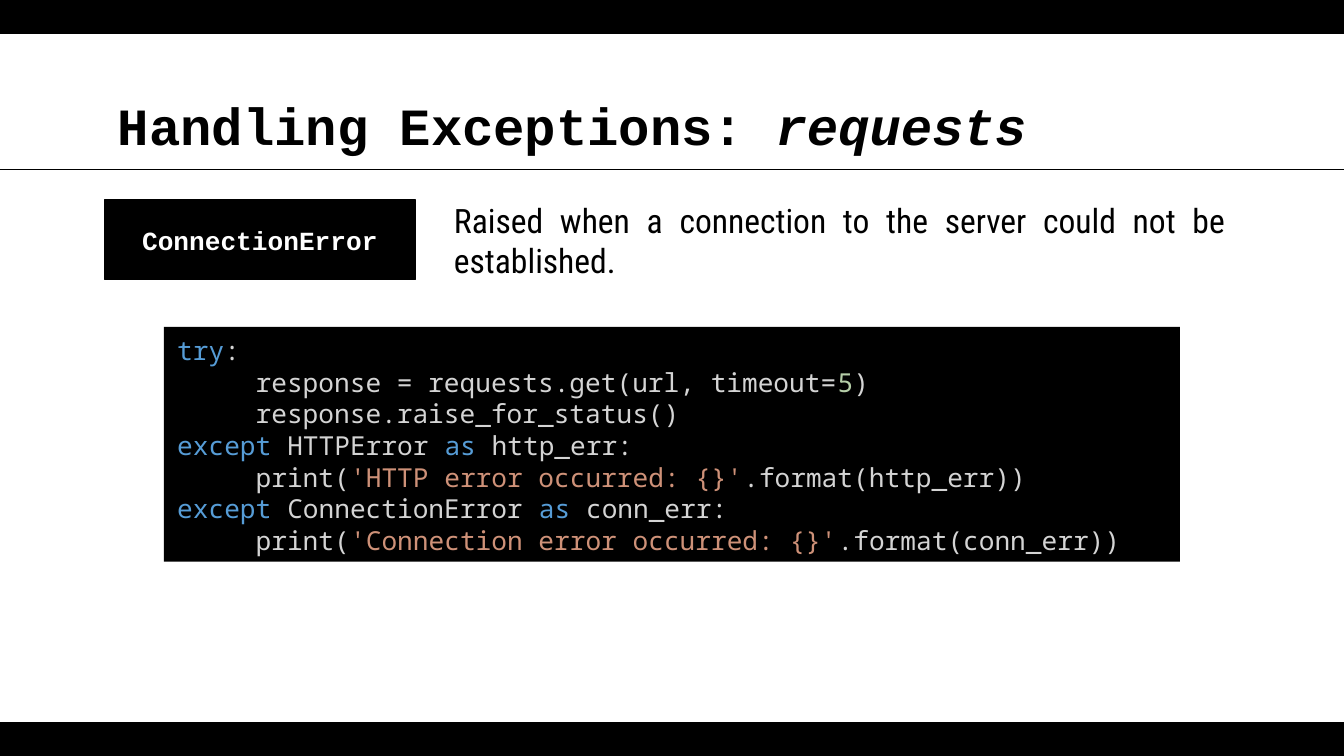
from dataclasses import dataclass

from pptx import Presentation
from pptx.dml.color import RGBColor
from pptx.enum.shapes import MSO_CONNECTOR, MSO_SHAPE
from pptx.enum.text import MSO_ANCHOR, PP_ALIGN
from pptx.oxml.ns import qn
from pptx.util import Cm, Pt

RECTANGLE = MSO_SHAPE.RECTANGLE
STRAIGHT = MSO_CONNECTOR.STRAIGHT
TOP, MIDDLE, BOTTOM = MSO_ANCHOR.TOP, MSO_ANCHOR.MIDDLE, MSO_ANCHOR.BOTTOM
LEFT, CENTER, JUSTIFY = PP_ALIGN.LEFT, PP_ALIGN.CENTER, PP_ALIGN.JUSTIFY

COLORS = {
    "black": "000000",
    "white": "FFFFFF",
    "keyword": "569CD6",
    "plain": "D4D4D4",
    "number": "B5CEA8",
    "string": "CE9178",
}
WIDTH, HEIGHT, BAR_HEIGHT = 25.4, 14.29, 0.64
MARGIN = 1.98
RULE_Y = 3.2


@dataclass
class Box:
    left: float
    top: float
    width: float
    height: float


@dataclass
class Style:
    font: str
    size: float
    color: str = "black"
    bold: bool = False
    align: PP_ALIGN = LEFT
    anchor: MSO_ANCHOR = TOP
    inset_y: float = 0.25
    spacing: float | None = None


@dataclass
class Run:
    text: str
    color: str | None = None
    italic: bool = False


def except_line(error: str, name: str) -> list[Run]:
    return [Run("except ", "keyword"), Run(f"{error} "), Run("as ", "keyword"), Run(f"{name}:")]


def print_line(kind: str, name: str) -> list[Run]:
    return [Run("     print("), Run(f"'{kind} error occurred: {{}}'", "string"),
            Run(f".format({name}))")]


TITLE = [[Run("Handling Exceptions: "), Run("requests", italic=True)]]
DESCRIPTION = [[Run("Raised when a connection to the server could not be established.")]]
LABEL = [[Run("ConnectionError")]]
CODE = [
    [Run("try", "keyword"), Run(":")],
    [Run("     response = requests.get(url, timeout="), Run("5", "number"), Run(")")],
    [Run("     response.raise_for_status()")],
    except_line("HTTPError", "http_err"),
    print_line("HTTP", "http_err"),
    except_line("ConnectionError", "conn_err"),
    print_line("Connection", "conn_err"),
]


def rgb(name: str) -> RGBColor:
    return RGBColor.from_string(COLORS[name])


def place(box: Box) -> list[Cm]:
    return [Cm(v) for v in (box.left, box.top, box.width, box.height)]


def add_rect(slide, box: Box, outlined: bool = False):
    sp = slide.shapes.add_shape(RECTANGLE, *place(box))
    sp.shadow.inherit = False
    sp.fill.solid()
    sp.fill.fore_color.rgb = rgb("black")
    if outlined:
        sp.line.color.rgb = rgb("black")
        sp.line.width = Pt(0.75)
    else:
        sp.line.fill.background()
    return sp


def add_rule(slide, y: float) -> None:
    line = slide.shapes.add_connector(STRAIGHT, Cm(-0.05), Cm(y), Cm(WIDTH + 0.05), Cm(y))
    line.line.color.rgb = rgb("black")
    line.line.width = Pt(0.75)
    sp_pr = line._element.spPr
    sp_pr.append(sp_pr.makeelement(qn("a:effectLst"), {}))


def write(sp, lines: list[list[Run]], style: Style) -> None:
    tf = sp.text_frame
    tf.word_wrap = True
    tf.vertical_anchor = style.anchor
    tf.margin_left = tf.margin_right = Cm(0.25)
    tf.margin_top = tf.margin_bottom = Cm(style.inset_y)
    for i, runs in enumerate(lines):
        p = tf.add_paragraph() if i else tf.paragraphs[0]
        p.alignment = style.align
        if style.spacing:
            p.line_spacing = Pt(style.spacing)
        p.font.name = style.font
        p.font.size = Pt(style.size)
        p.font.bold = style.bold
        for run in runs:
            r = p.add_run()
            r.text = run.text
            r.font.name = style.font
            r.font.size = Pt(style.size)
            r.font.bold = style.bold
            r.font.color.rgb = rgb(run.color or style.color)
            if run.italic:
                r.font.italic = True


def add_text(slide, box: Box, lines: list[list[Run]], style: Style) -> None:
    write(slide.shapes.add_textbox(*place(box)), lines, style)


def main() -> None:
    prs = Presentation()
    prs.slide_width, prs.slide_height = Cm(WIDTH), Cm(HEIGHT)
    slide = prs.slides.add_slide(prs.slide_layouts[6])
    slide.background.fill.solid()
    slide.background.fill.fore_color.rgb = rgb("white")

    for top in (HEIGHT - BAR_HEIGHT, 0):
        add_rect(slide, Box(0, top, WIDTH, BAR_HEIGHT))

    add_text(slide, Box(MARGIN, 1.5, WIDTH - 2 * MARGIN, 1.7), TITLE,
             Style("Courier New", 28, bold=True, anchor=BOTTOM))
    add_rule(slide, RULE_Y)
    add_text(slide, Box(8.33, 3.53, 15.09, 1.88), DESCRIPTION,
             Style("Roboto Condensed", 18, align=JUSTIFY))

    label = add_rect(slide, Box(MARGIN, 3.78, 5.87, 1.5), outlined=True)
    write(label, LABEL, Style("Courier New", 14, "white", True, CENTER, MIDDLE))

    code = add_rect(slide, Box(3.1, 6.18, 19.2, 4.44))
    write(code, CODE, Style("Noto Sans Mono", 14, "plain", inset_y=0.13, spacing=17))

    prs.save("out.pptx")


if __name__ == "__main__":
    main()
